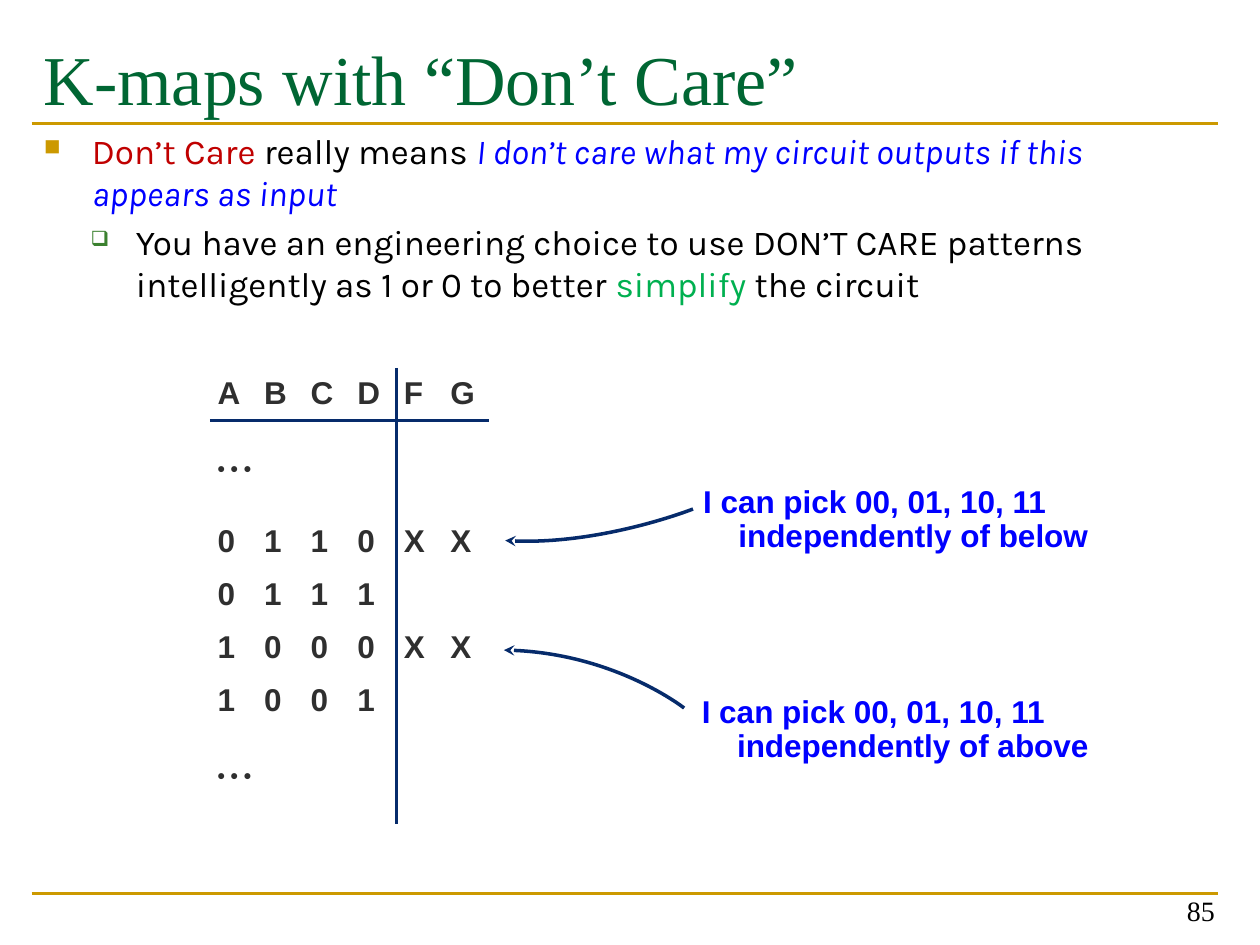
from lxml import etree
from pptx import Presentation
from pptx.dml.color import RGBColor
from pptx.enum.shapes import MSO_CONNECTOR
from pptx.enum.text import MSO_ANCHOR, PP_ALIGN
from pptx.oxml.ns import qn
from pptx.util import Emu, Inches, Pt

STRAIGHT = MSO_CONNECTOR.STRAIGHT
TOP, MIDDLE, BOTTOM = MSO_ANCHOR.TOP, MSO_ANCHOR.MIDDLE, MSO_ANCHOR.BOTTOM
RIGHT = PP_ALIGN.RIGHT
WIDTH, HEIGHT = 10, 7.5
COLORS = {
    "gold": "CC9900", "title": "006633", "red": "C00000", "black": "000000",
    "blue": "0000FF", "bullet": "3B812F", "green": "00B050",
    "cell": "2F2F2F", "navy": "062B6B",
}
SERIF, BODY, SANS = "Times New Roman", "Karla", "Arial"
INSET = 0.06
DOTS = "• • •"
TRUTH_ROWS = ["ABCDFG", DOTS, "", "0110XX", "0111", "1000XX", "1001", DOTS, ""]
INPUTS = 4


def rgb(name):
    """Return the named colour."""
    return RGBColor.from_string(COLORS[name])


def add_run(paragraph, words, font, size, color, bold=False, italic=False):
    """Append one styled run."""
    run = paragraph.add_run()
    run.text = words
    run.font.name, run.font.size = font, Pt(size)
    run.font.bold, run.font.italic = bold, italic
    run.font.color.rgb = rgb(color)


def add_frame(slide, box, anchor=TOP, inset=None):
    """Add a wrapping text box and return its text frame."""
    frame = slide.shapes.add_textbox(*map(Inches, box)).text_frame
    frame.word_wrap = True
    frame.vertical_anchor = anchor
    if inset is not None:
        frame.margin_left = frame.margin_right = Inches(inset)
        frame.margin_top = frame.margin_bottom = Inches(inset)
    return frame


def set_indent(paragraph, left, first=0):
    """Set the left margin and first-line indent of a paragraph."""
    properties = paragraph._p.get_or_add_pPr()
    properties.set("marL", str(Inches(left)))
    properties.set("indent", str(Inches(first)))
    return properties


def set_bullet(paragraph, left, first, mark, color, percent):
    """Give a paragraph a coloured, scaled bullet."""
    properties = set_indent(paragraph, left, first)
    tint = etree.SubElement(properties, qn("a:buClr"))
    etree.SubElement(tint, qn("a:srgbClr"), val=COLORS[color])
    etree.SubElement(properties, qn("a:buSzPct"), val=str(percent * 1000))
    etree.SubElement(properties, qn("a:buChar"), char=mark)


def add_rule(slide, left, right, y):
    """Draw a horizontal gold rule."""
    rule = slide.shapes.add_connector(
        STRAIGHT, Inches(left), Inches(y), Inches(right), Inches(y))
    rule.line.color.rgb, rule.line.width = rgb("gold"), Pt(1.5)
    etree.SubElement(rule._element.spPr, qn("a:effectLst"))


def add_heading(slide, box):
    """Place the title with a rule under it."""
    left, top, width, height = box
    title = add_frame(slide, box).paragraphs[0]
    add_run(title, "K-maps with “Don’t Care”", SERIF, 40, "title")
    add_rule(slide, left, left + width, top + height)


def add_footer(slide, box):
    """Place the lower rule and the page number."""
    left, top, width, height = box
    add_rule(slide, left, left + width, top)
    page = add_frame(slide, (left, top, width + 0.07, height), BOTTOM).paragraphs[0]
    page.alignment = RIGHT
    add_run(page, "85", SERIF, 16, "black")


def add_points(slide, box):
    """Place the two bulleted levels of explanation."""
    points = [
        ((0.38, -0.38, "■", "gold", 65), [
            ("Don’t Care ", "red", False),
            ("really means ", "black", False),
            ("I don’t care what my circuit outputs if this appears as input", "blue", True)]),
        ((0.73, -0.36, "❑", "bullet", 60), [
            ("You have an engineering choice to use DON’T CARE patterns "
             "intelligently as 1 or 0 to better ", "black", False),
            ("simplify", "green", False),
            (" the circuit", "black", False)]),
    ]
    frame = add_frame(slide, box)
    for index, (bullet, pieces) in enumerate(points):
        point = frame.add_paragraph() if index else frame.paragraphs[0]
        point.space_before = Pt(4)
        set_bullet(point, *bullet)
        for words, color, italic in pieces:
            add_run(point, words, BODY, 20, color, italic=italic)


def set_borders(cell, row, column):
    """Draw the axes below the header and between inputs and outputs."""
    sides = [("a:lnL", column == INPUTS), ("a:lnR", column == INPUTS - 1),
             ("a:lnT", row == 1), ("a:lnB", row == 0)]
    properties = cell._tc.get_or_add_tcPr()
    for tag, drawn in sides:
        border = etree.SubElement(properties, qn(tag), w=str(Pt(2)))
        if drawn:
            fill = etree.SubElement(border, qn("a:solidFill"))
            etree.SubElement(fill, qn("a:srgbClr"), val=COLORS["navy"])
        else:
            etree.SubElement(border, qn("a:noFill"))


def add_truth_table(slide, box):
    """Place the truth table, with dots spanning the omitted rows."""
    columns = len(TRUTH_ROWS[0])
    table = slide.shapes.add_table(
        len(TRUTH_ROWS), columns, *map(Inches, box)).table
    table.first_row = table.horz_banding = False
    for column in table.columns:
        column.width = Inches(box[2] / columns)
    for r, values in enumerate(TRUTH_ROWS):
        omitted = values in (DOTS, "")
        table.rows[r].height = Inches(0.38 if omitted else 0.41)
        entries = [values] if omitted else values
        for c in range(columns):
            cell = table.cell(r, c)
            set_borders(cell, r, c)
            cell.fill.background()
            entry = entries[c] if c < len(entries) else ""
            cell.margin_left = cell.margin_right = Inches(INSET)
            cell.margin_top = cell.margin_bottom = Inches(INSET if entry else 0)
            if entry:
                add_run(cell.text_frame.paragraphs[0], entry, SANS,
                        12 if omitted else 18, "cell", bold=True)
        if values == DOTS:
            table.cell(r, 0).merge(table.cell(r + 1, INPUTS - 1))
            table.cell(r, 0).vertical_anchor = MIDDLE


def add_choice(slide, box, place, curve):
    """Place a remark and its curved arrow to a table row."""
    frame = add_frame(slide, box, inset=INSET)
    lines = [("I can pick 00, 01, 10, 11", 0.04),
             (f"independently of {place}", 0.32)]
    for index, (words, left) in enumerate(lines):
        line = frame.add_paragraph() if index else frame.paragraphs[0]
        line.line_spacing = 0.9
        set_indent(line, left)
        add_run(line, words, SANS, 18, "blue", bold=True)
    add_curved_arrow(slide, curve)


def add_curved_arrow(slide, curve):
    """Draw an arrow bent by one control point between its ends."""
    start, *others = [(Inches(x), Inches(y)) for x, y in curve]
    builder = slide.shapes.build_freeform(*start, scale=Emu(1))
    builder.add_line_segments(others, close=False)
    arrow = builder.convert_to_shape()
    arrow.shadow.inherit = False
    arrow.fill.background()
    arrow.line.color.rgb, arrow.line.width = rgb("navy"), Pt(2)
    etree.SubElement(arrow.line._get_or_add_ln(), qn("a:tailEnd"), type="stealth")
    outline = next(arrow._element.iter(qn("a:path")))
    origin = outline.find(qn("a:moveTo"))[0]
    bend = etree.SubElement(outline, qn("a:cubicBezTo"))
    etree.SubElement(bend, qn("a:pt"), x=origin.get("x"), y=origin.get("y"))
    for segment in outline.findall(qn("a:lnTo")):
        bend.append(segment[0])
        outline.remove(segment)


def main():
    """Build and save the slide."""
    deck = Presentation()
    deck.slide_width, deck.slide_height = Inches(WIDTH), Inches(HEIGHT)
    slide = deck.slides.add_slide(deck.slide_layouts[6])
    left, width = WIDTH * 0.025, WIDTH * 0.942
    add_heading(slide, (left, 0.23, width, 0.75))
    add_points(slide, (left, 0.98, width, 1.6))
    add_truth_table(slide, (WIDTH / 6, 2.92, 2.22, 3.56))
    add_choice(slide, (5.48, 3.8, 3.28, 0.66), "below",
               [(5.5, 4.04), (4.74, 4.34), (4.01, 4.29)])
    add_choice(slide, (5.47, 5.47, 3.3, 0.66), "above",
               [(5.43, 5.62), (4.86, 5.17), (4, 5.16)])
    add_footer(slide, (left, 7.09, width, 0.32))
    deck.save("out.pptx")


if __name__ == "__main__":
    main()
